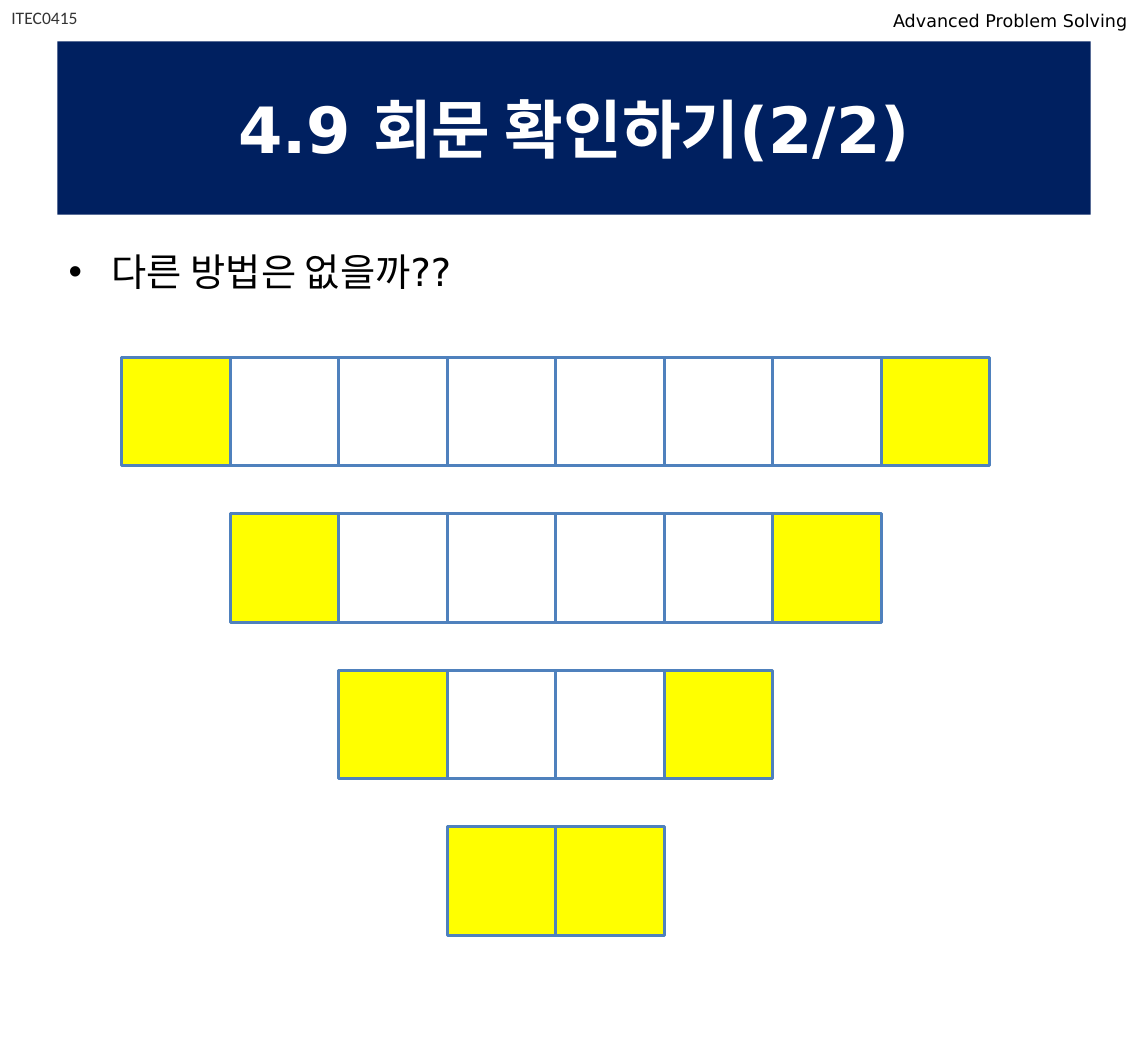
from lxml.etree import SubElement
from pptx import Presentation
from pptx.dml.color import RGBColor
from pptx.enum.shapes import MSO_SHAPE as Shape
from pptx.enum.text import MSO_ANCHOR as Anchor, PP_ALIGN as Align
from pptx.oxml.ns import qn
from pptx.util import Pt

NAVY = RGBColor(0x00, 0x20, 0x60)
BLUE = RGBColor(0x4F, 0x81, 0xBD)
YELLOW = RGBColor(0xFF, 0xFF, 0x00)
WHITE = RGBColor(0xFF, 0xFF, 0xFF)
BLACK = RGBColor(0x00, 0x00, 0x00)
GRAY = RGBColor(0x33, 0x33, 0x33)

CELL = 68.05
ROW_LEFT = 76.4
ROW_TOP = 224
ROW_PITCH = 98.2
CELL_COUNTS = [8, 6, 4, 2]


def add_run(paragraph, text, size, color, font="DejaVu Sans", bold=False):
    run = paragraph.add_run()
    run.text = text
    run.font.name = font
    run.font.size = Pt(size)
    run.font.bold = bold
    run.font.color.rgb = color


def add_textbox(left, top, width, height, wrap=True):
    textbox = slide.shapes.add_textbox(Pt(left), Pt(top), Pt(width), Pt(height))
    textbox.text_frame.word_wrap = wrap
    return textbox.text_frame.paragraphs[0]


presentation = Presentation()
presentation.slide_width = Pt(720)
presentation.slide_height = Pt(652.3)
slide = presentation.slides.add_slide(presentation.slide_layouts[6])

title = slide.shapes.add_shape(Shape.RECTANGLE, Pt(36), Pt(26), Pt(648), Pt(108.7))
title.shadow.inherit = False
title.fill.solid()
title.fill.fore_color.rgb = NAVY
title.line.fill.background()
title.text_frame.word_wrap = True
title.text_frame.vertical_anchor = Anchor.MIDDLE
paragraph = title.text_frame.paragraphs[0]
paragraph.alignment = Align.CENTER
add_run(paragraph, "4.9 회문 확인하기(2/2)", 40, WHITE, bold=True)

paragraph = add_textbox(36, 152, 648, 430.5)
paragraph.space_before = Pt(4.8)
properties = paragraph._p.get_or_add_pPr()
properties.set("marL", str(Pt(27)))
properties.set("indent", str(-Pt(27)))
SubElement(properties, qn("a:buFont")).set("typeface", "Arial")
SubElement(properties, qn("a:buChar")).set("char", "•")
add_run(paragraph, "다른 방법은 없을까??", 24, BLACK)

for row, count in enumerate(CELL_COUNTS):
    group = slide.shapes.add_group_shape()
    for column in range(count):
        left = ROW_LEFT + (row + column) * CELL
        top = ROW_TOP + row * ROW_PITCH
        cell = group.shapes.add_shape(Shape.RECTANGLE, Pt(left), Pt(top), Pt(CELL), Pt(CELL))
        cell.shadow.inherit = False
        cell.line.color.rgb = BLUE
        cell.line.width = Pt(1.75)
        if column in (0, count - 1):
            cell.fill.solid()
            cell.fill.fore_color.rgb = YELLOW
        else:
            cell.fill.background()

paragraph = add_textbox(0, 0.7, 57, 20.6, wrap=False)
add_run(paragraph, "ITEC0415", 11, GRAY, font="Calibri")
paragraph = add_textbox(553, 2.9, 167, 20.6)
add_run(paragraph, "Advanced Problem Solving", 11, BLACK)

presentation.save("out.pptx")
